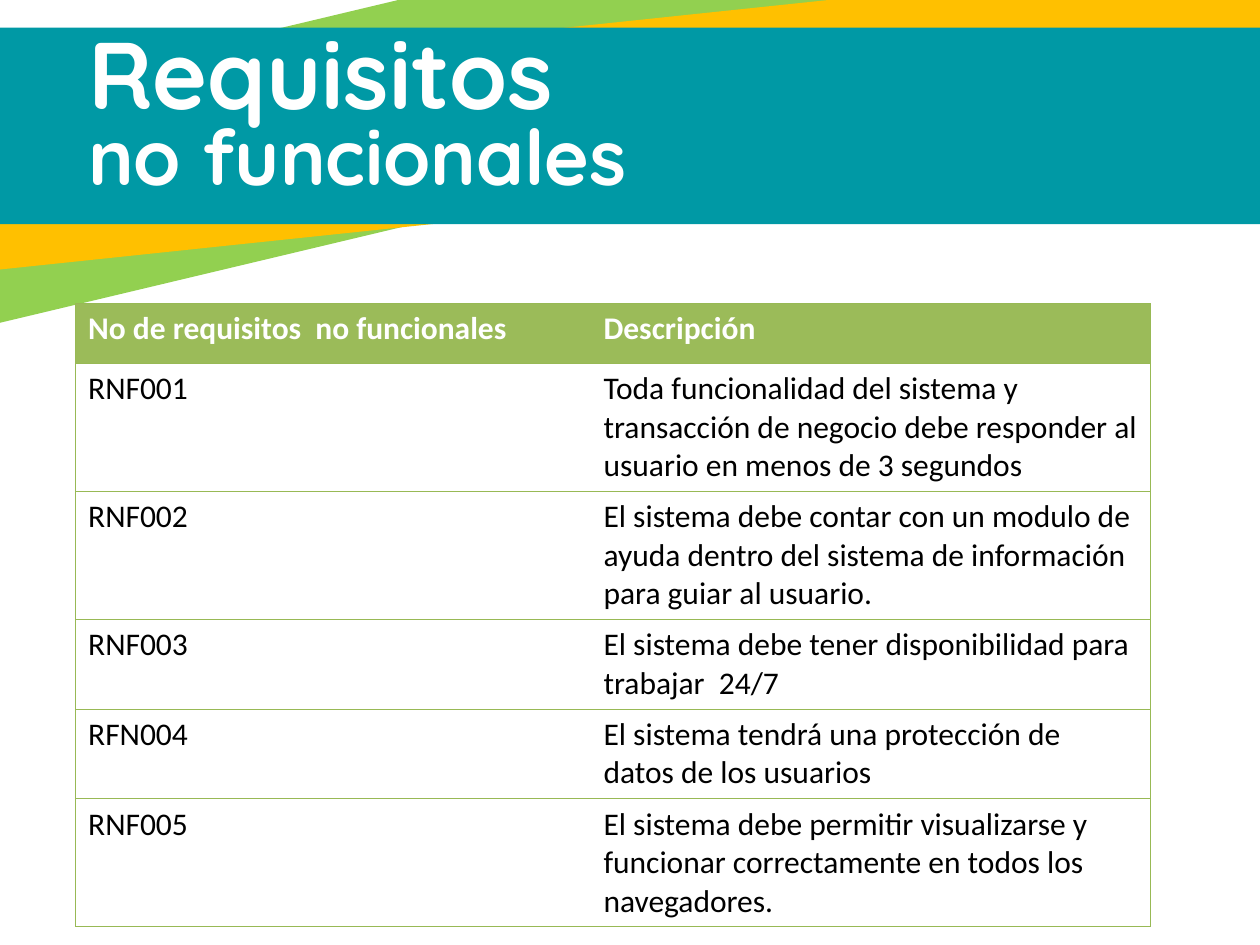
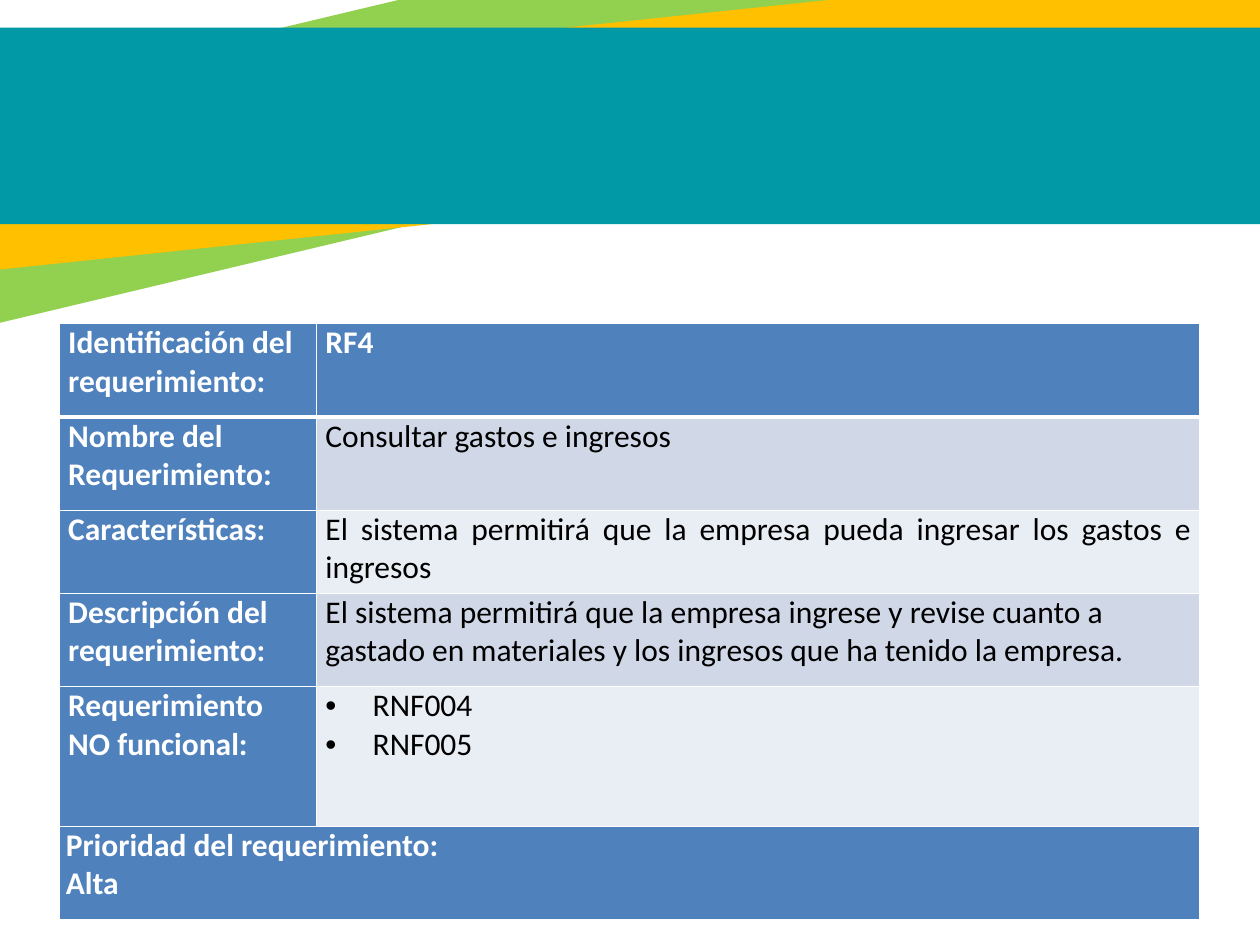
"""Build two requirement slides with shared slanted bands and one table each."""
from lxml import etree
from pptx import Presentation
from pptx.dml.color import RGBColor
from pptx.enum import shapes, text
from pptx.oxml import ns
from pptx.util import Pt

WHITE, BLACK = "FFFFFF", "000000"
GREEN, AMBER, TEAL = "92D050", "FFC000", "0099A5"
OLIVE, OLIVE_LINE = "9BBB59", "98B955"
BLUE, BLUE_MID, BLUE_PALE = "4F81BD", "D0D8E8", "E9EDF4"
BODY_FONT, TITLE_FONT = "Calibri", "Quicksand"
BULLET_INDENT, BULLET_TAB = Pt(27), Pt(35.4)


def colour(code):
    return RGBColor.from_string(code)


def write_cell(cell, lines, ink, bold, fill, borders, align=None, bulleted=False):
    properties = cell._tc.get_or_add_tcPr()
    for side, (line_colour, width) in zip("LRTB", borders):
        line = etree.SubElement(properties, ns.qn(f"a:ln{side}"), w=str(Pt(width)))
        if line_colour:
            solid = etree.SubElement(line, ns.qn("a:solidFill"))
            etree.SubElement(solid, ns.qn("a:srgbClr"), val=line_colour)
        else:
            etree.SubElement(line, ns.qn("a:noFill"))
    if fill:
        cell.fill.solid()
        cell.fill.fore_color.rgb = colour(fill)
    else:
        cell.fill.background()
    for number, words in enumerate(lines):
        frame = cell.text_frame
        para = frame.add_paragraph() if number else frame.paragraphs[0]
        para.alignment = align
        if bulleted:
            layout = para._p.get_or_add_pPr()
            layout.set("marL", str(BULLET_INDENT))
            layout.set("indent", str(-BULLET_INDENT))
            etree.SubElement(layout, ns.qn("a:buFont"), typeface="Arial")
            etree.SubElement(layout, ns.qn("a:buChar"), char="•")
            tabs = etree.SubElement(layout, ns.qn("a:tabLst"))
            etree.SubElement(tabs, ns.qn("a:tab"), pos=str(BULLET_TAB), algn="l")
        span = para.add_run()
        span.text = words
        span.font.name = BODY_FONT
        span.font.size = Pt(18)
        span.font.bold = bold
        span.font.color.rgb = colour(ink)


deck = Presentation()
deck.slide_width, deck.slide_height = Pt(720), Pt(540)

bands = [
    (-180.72, -12.96, 940.32, 126.72, 346.6, GREEN),
    (-79.2, 14.4, 837.36, 103.68, 354, AMBER),
    (-76.32, 15.84, 837.36, 112.32, 0, TEAL),
]
pages = [deck.slides.add_slide(deck.slide_layouts[6]) for _ in range(2)]
for page in pages:
    for left, top, width, height, angle, fill in bands:
        band = page.shapes.add_shape(
            shapes.MSO_SHAPE.RECTANGLE, Pt(left), Pt(top), Pt(width), Pt(height))
        band.rotation = angle
        band.shadow.inherit = False
        band.fill.solid()
        band.fill.fore_color.rgb = colour(fill)
        band.line.fill.background()
list_page, detail_page = pages

requirements = [
    ("No de requisitos  no funcionales", "Descripción", 34.3),
    ("RNF001", "Toda funcionalidad del sistema y transacción de negocio debe "
               "responder al usuario en menos de 3 segundos", 73.1),
    ("RNF002", "El sistema debe contar con un modulo de ayuda dentro del sistema "
               "de información para guiar al usuario.", 73.1),
    ("RNF003", "El sistema debe tener disponibilidad para trabajar  24/7", 51.2),
    ("RFN004", "El sistema tendrá una protección de datos de los usuarios", 51.2),
    ("RNF005", "El sistema debe permitir visualizarse y funcionar correctamente "
               "en todos los navegadores.", 73.1),
]
list_height = sum(height for _, _, height in requirements)
list_table = list_page.shapes.add_table(
    len(requirements), 2, Pt(43.2), Pt(173.5), Pt(614.2), Pt(list_height)).table
list_table.first_row = list_table.horz_banding = False
list_table.columns[0].width, list_table.columns[1].width = Pt(294.5), Pt(319.7)
edge, no_edge = (OLIVE_LINE, 0.75), (None, 0)
for row, (code, description, height) in enumerate(requirements):
    list_table.rows[row].height = Pt(height)
    is_header = row == 0
    for column, words in enumerate((code, description)):
        sides = (no_edge, edge) if column else (edge, no_edge)
        write_cell(list_table.cell(row, column), [words],
                   WHITE if is_header else BLACK, is_header,
                   OLIVE if is_header else None, (*sides, edge, edge))

titles = [("Requisitos", 23.76, 392.4, 54), ("no funcionales", 71.28, 337, 44)]
for words, top, width, size in titles:
    box = list_page.shapes.add_textbox(Pt(43.2), Pt(top), Pt(width), Pt(34.56))
    box.text_frame.word_wrap = True
    box.text_frame.vertical_anchor = text.MSO_ANCHOR.MIDDLE
    span = box.text_frame.paragraphs[0].add_run()
    span.text = words
    span.font.name = TITLE_FONT
    span.font.size = Pt(size)
    span.font.bold = True
    span.font.color.rgb = colour(WHITE)

details = [
    ("Identificación del requerimiento:", ["RF4"], 53.3),
    ("Nombre del Requerimiento:", ["Consultar gastos e ingresos"], 53.3),
    ("Características:", ["El sistema permitirá que la empresa pueda ingresar "
                          "los gastos e ingresos"], 47.5),
    ("Descripción del requerimiento:",
     ["El sistema permitirá que la empresa ingrese y revise cuanto a gastado en "
      "materiales y los ingresos que ha tenido la empresa."], 53.3),
    ("Requerimiento NO funcional:", ["RNF004", "RNF005"], 79.9),
]
priority_height = 53.3
detail_height = sum(height for _, _, height in details) + priority_height
detail_table = detail_page.shapes.add_table(
    len(details) + 1, 2, Pt(34), Pt(185), Pt(651.8), Pt(detail_height)).table
detail_table.first_row = detail_table.horz_banding = False
detail_table.columns[0].width, detail_table.columns[1].width = Pt(147), Pt(504.8)
thin, thick = (WHITE, 1), (WHITE, 3)
for row, (label, lines, height) in enumerate(details):
    detail_table.rows[row].height = Pt(height)
    borders = (thin, thin, thick if row == 1 else thin, thick if row == 0 else thin)
    label_cell, value_cell = detail_table.cell(row, 0), detail_table.cell(row, 1)
    for cell in (label_cell, value_cell):
        cell.margin_left = cell.margin_right = Pt(5)
        cell.margin_top = cell.margin_bottom = 0
    write_cell(label_cell, [label], WHITE, True, BLUE, borders)
    if row == 0:
        write_cell(value_cell, lines, WHITE, True, BLUE, borders)
    else:
        align = text.PP_ALIGN.JUSTIFY if label == "Características:" else None
        write_cell(value_cell, lines, BLACK, False, BLUE_MID if row % 2 else BLUE_PALE,
                   borders, align, bulleted=len(lines) > 1)

last = len(details)
detail_table.rows[last].height = Pt(priority_height)
priority = detail_table.cell(last, 0)
priority.merge(detail_table.cell(last, 1))
priority.margin_left = priority.margin_right = Pt(3.6)
priority.margin_top = priority.margin_bottom = 0
write_cell(priority, ["Prioridad del requerimiento:", "Alta"], WHITE, True, BLUE, [thin] * 4)

deck.save("out.pptx")
